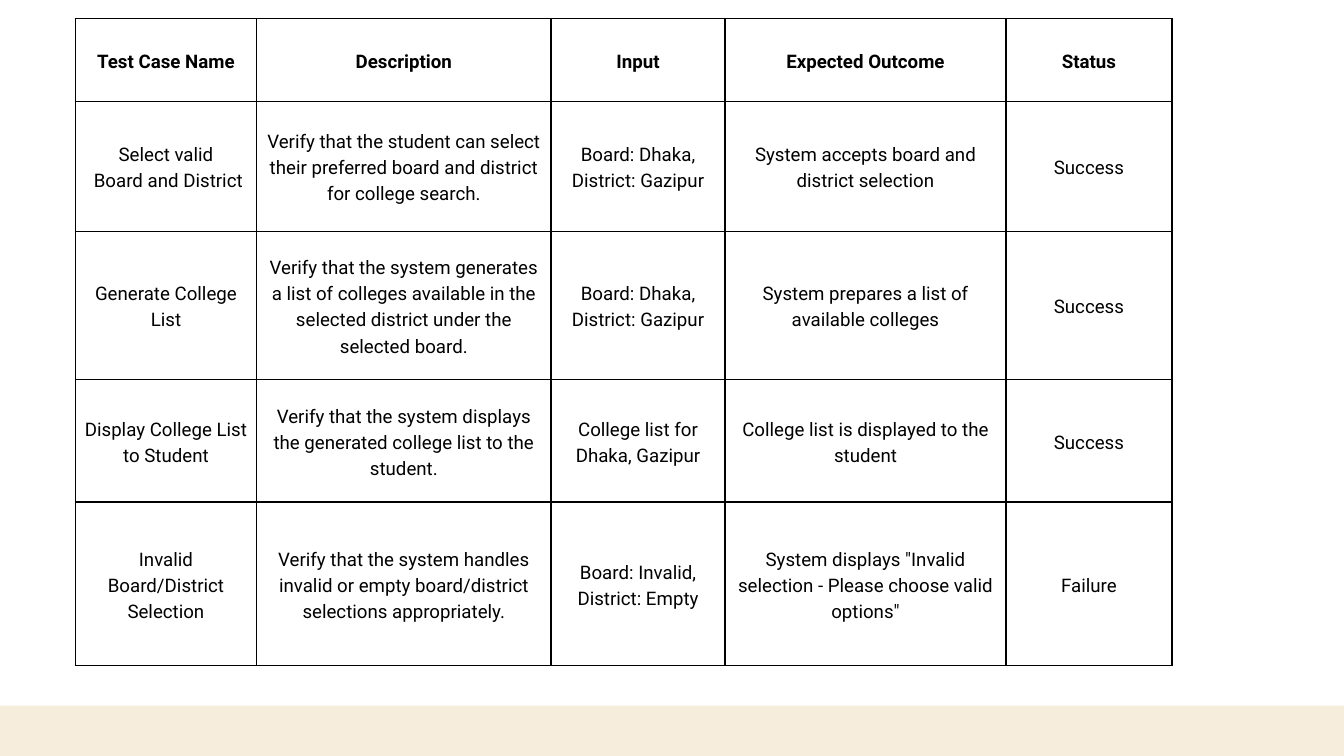
from lxml import etree
from pptx import Presentation
from pptx.dml.color import RGBColor
from pptx.enum import shapes, text
from pptx.oxml.ns import qn
from pptx.util import Inches, Pt

BLACK = RGBColor(0x00, 0x00, 0x00)
WHITE = RGBColor(0xFF, 0xFF, 0xFF)
CREAM = RGBColor(0xF6, 0xED, 0xDD)
FONT = "Roboto"

COL_WIDTHS = [2.7, 4.38, 2.59, 4.18, 2.47]
ROW_HEIGHTS = [1.23, 1.93, 2.21, 1.82, 2.44]
TEST_CASES = [
    ["Test Case Name", "Description", "Input", "Expected Outcome", "Status"],
    ["Select valid\n Board and District",
     "Verify that the student can select their preferred board and district "
     "for college search.",
     "Board: Dhaka, District: Gazipur",
     "System accepts board and district selection",
     "Success"],
    ["Generate College List",
     "Verify that the system generates a list of colleges available in the "
     "selected district under the selected board.",
     "Board: Dhaka, District: Gazipur",
     "System prepares a list of available colleges",
     "Success"],
    ["Display College List to Student",
     "Verify that the system displays the generated college list to the student.",
     "College list for Dhaka, Gazipur",
     "College list is displayed to the student",
     "Success"],
    ["Invalid Board/District Selection",
     "Verify that the system handles invalid or empty board/district "
     "selections appropriately.",
     "Board: Invalid, District: Empty",
     'System displays "Invalid selection - Please choose valid options"',
     "Failure"],
]


def add_band(slide, left, top, width, height):
    sp = slide.shapes.add_shape(
        shapes.MSO_SHAPE.RECTANGLE,
        Inches(left), Inches(top), Inches(width), Inches(height))
    sp.shadow.inherit = False
    sp.fill.solid()
    sp.fill.fore_color.rgb = CREAM
    sp.line.fill.background()


def set_borders(cell, color, width):
    """Draw all four sides; the lines must precede the fill in tcPr."""
    tc_pr = cell._tc.get_or_add_tcPr()
    for i, side in enumerate(("lnL", "lnR", "lnT", "lnB")):
        ln = etree.Element(qn(f"a:{side}"), w=str(width))
        fill = etree.SubElement(ln, qn("a:solidFill"))
        etree.SubElement(fill, qn("a:srgbClr"), val=str(color))
        tc_pr.insert(i, ln)


def fill_cell(cell, content, bold):
    cell.margin_left = cell.margin_right = Inches(0.1)
    cell.margin_top = cell.margin_bottom = Inches(0.1)
    cell.vertical_anchor = text.MSO_ANCHOR.MIDDLE
    cell.fill.solid()
    cell.fill.fore_color.rgb = WHITE
    set_borders(cell, BLACK, Pt(1.5))
    tf = cell.text_frame
    for i, line in enumerate(content.split("\n")):
        p = tf.add_paragraph() if i else tf.paragraphs[0]
        p.alignment = text.PP_ALIGN.CENTER
        p.line_spacing = Pt(28)
        r = p.add_run()
        r.text = line
        r.font.name = FONT
        r.font.size = Pt(20)
        r.font.bold = bold
        r.font.color.rgb = BLACK


def add_test_table(slide, left, top):
    table = slide.shapes.add_table(
        len(ROW_HEIGHTS), len(COL_WIDTHS), Inches(left), Inches(top),
        Inches(sum(COL_WIDTHS)), Inches(sum(ROW_HEIGHTS))).table
    table.horz_banding = False
    for column, width in zip(table.columns, COL_WIDTHS):
        column.width = Inches(width)
    for i, (row, height) in enumerate(zip(table.rows, ROW_HEIGHTS)):
        row.height = Inches(height)
        for cell, content in zip(row.cells, TEST_CASES[i]):
            fill_cell(cell, content, bold=i == 0)


def main():
    prs = Presentation()
    prs.slide_width, prs.slide_height = Inches(20), Inches(11.25)
    s = prs.slides.add_slide(prs.slide_layouts[6])
    s.background.fill.solid()
    s.background.fill.fore_color.rgb = WHITE
    add_band(s, -0.32, 10.5, 20.64, 1.03)
    add_test_table(s, 1.12, 0.28)
    prs.save("out.pptx")


if __name__ == "__main__":
    main()
